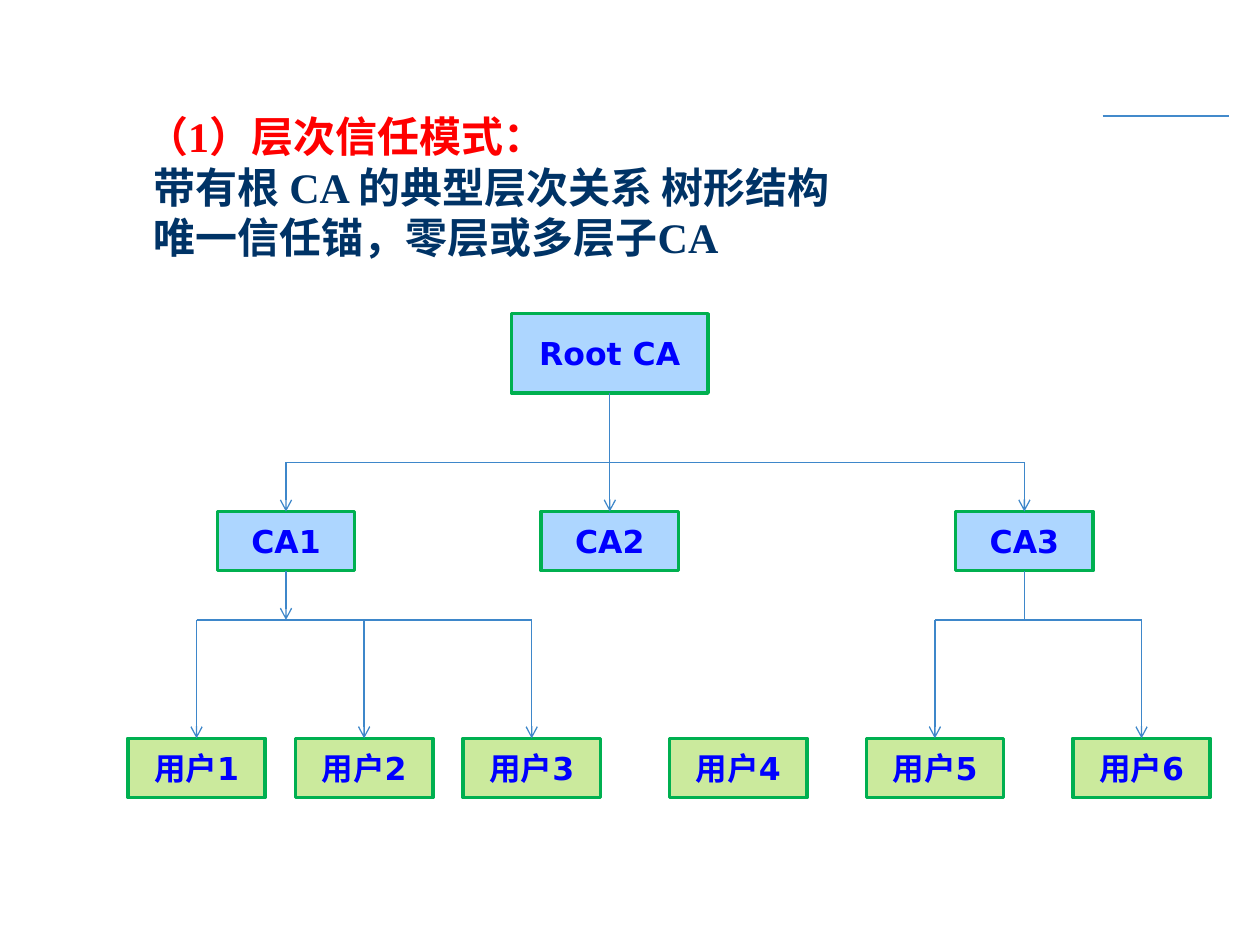
import pptx
import pptx.dml.color
import pptx.enum.shapes
import pptx.enum.text
import pptx.oxml.ns
import pptx.util
from lxml import etree
from pptx.dml.color import RGBColor
from pptx.util import Inches

RED = RGBColor(0xFF, 0x00, 0x00)
NAVY = RGBColor(0x00, 0x33, 0x66)
BLUE = RGBColor(0x00, 0x00, 0xFF)
GREEN = RGBColor(0x00, 0xB0, 0x50)
CA_FILL = RGBColor(0xAD, 0xD6, 0xFF)
USER_FILL = RGBColor(0xCB, 0xEA, 0x9D)
LINK = RGBColor(0x3E, 0x87, 0xCA)
RULE = RGBColor(0x43, 0x8A, 0xCB)

TOP, BOTTOM = 0, 2
CA_TOP, USER_TOP = 4.06, 5.86
CA_BUS, USER_BUS = 3.67, 4.92
NODE_WIDTH, NODE_HEIGHT = 1.09, 0.47


class TrustDiagram:
    """Draw the heading, nodes and links of a trust hierarchy on one slide."""

    def __init__(self, slide):
        self.slide = slide
        self.heading_font = "Times New Roman"
        self.node_font = "DejaVu Sans"

    def heading(self, left, top, width, height, lines):
        title = self.slide.shapes.title
        title.left, title.top = Inches(left), Inches(top)
        title.width, title.height = Inches(width), Inches(height)
        frame = title.text_frame
        frame.word_wrap = True
        frame.auto_size = pptx.enum.text.MSO_AUTO_SIZE.NONE
        frame.vertical_anchor = pptx.enum.text.MSO_ANCHOR.TOP
        frame.text = "\n".join(text for text, color, indent in lines)
        for paragraph, (text, color, indent) in zip(frame.paragraphs, lines):
            properties = paragraph._p.get_or_add_pPr()
            properties.set("marL", str(Inches(indent)))
            properties.set("indent", "0")
            paragraph.alignment = pptx.enum.text.PP_ALIGN.LEFT
            self.format_font(paragraph.font, self.heading_font, 24, color)

    def format_font(self, font, name, size, color):
        font.name = name
        font.size = pptx.util.Pt(size)
        font.bold = True
        font.color.rgb = color

    def node(self, text, center, top, fill, width=NODE_WIDTH, height=NODE_HEIGHT):
        box = self.slide.shapes.add_shape(
            pptx.enum.shapes.MSO_SHAPE.RECTANGLE,
            Inches(center - width / 2), Inches(top), Inches(width), Inches(height))
        box.shadow.inherit = False
        box.fill.solid()
        box.fill.fore_color.rgb = fill
        box.line.color.rgb = GREEN
        box.line.width = pptx.util.Pt(2)
        frame = box.text_frame
        frame.vertical_anchor = pptx.enum.text.MSO_ANCHOR.MIDDLE
        frame.text = text
        label = frame.paragraphs[0]
        label.alignment = pptx.enum.text.PP_ALIGN.CENTER
        self.format_font(label.font, self.node_font, 18, BLUE)
        return box

    def link(self, start, end, source=None, target=None, arrow=False, color=LINK):
        connector = self.slide.shapes.add_connector(
            pptx.enum.shapes.MSO_CONNECTOR.STRAIGHT,
            Inches(start[0]), Inches(start[1]), Inches(end[0]), Inches(end[1]))
        connector.line.color.rgb = color
        connector.line.width = pptx.util.Pt(0.75)
        etree.SubElement(connector._element.spPr, pptx.oxml.ns.qn("a:effectLst"))
        if source is not None:
            connector.begin_connect(source, BOTTOM)
        if target is not None:
            connector.end_connect(target, TOP)
        if arrow:
            etree.SubElement(connector.line._get_or_add_ln(),
                             pptx.oxml.ns.qn("a:tailEnd"), type="arrow")

    def branch(self, centers, bus, top, children):
        self.link((centers[0], bus), (centers[-1], bus))
        for center, child in zip(centers, children):
            self.link((center, bus), (center, top), target=child, arrow=True)


def main():
    presentation = pptx.Presentation()
    presentation.slide_width, presentation.slide_height = Inches(10), Inches(7.5)
    slide = presentation.slides.add_slide(presentation.slide_layouts[5])
    diagram = TrustDiagram(slide)

    diagram.link((8.75, 0.92), (9.75, 0.92), color=RULE)
    diagram.heading(0.52, 0.83, 8.83, 1.37, [
        ("（1）层次信任模式：", RED, 0.54),
        ("带有根 CA 的典型层次关系 树形结构", NAVY, 0.6),
        ("唯一信任锚，零层或多层子CA", NAVY, 0.6),
    ])

    ca_centers = [2.27, 4.84, 8.13]
    user_centers = [1.56, 2.89, 4.22, 5.86, 7.42, 9.06]
    root = diagram.node("Root CA", ca_centers[1], 2.49, CA_FILL, 1.56, 0.63)
    authorities = [diagram.node(f"CA{number}", center, CA_TOP, CA_FILL)
                   for number, center in enumerate(ca_centers, 1)]
    users = [diagram.node(f"用户{number}", center, USER_TOP, USER_FILL)
             for number, center in enumerate(user_centers, 1)]

    diagram.link((ca_centers[1], 3.12), (ca_centers[1], CA_TOP),
                 root, authorities[1], arrow=True)
    diagram.branch(ca_centers[::2], CA_BUS, CA_TOP, authorities[::2])
    for index, members, arrow in [(0, slice(0, 3), True), (2, slice(4, 6), False)]:
        center = ca_centers[index]
        diagram.link((center, CA_TOP + NODE_HEIGHT), (center, USER_BUS),
                     authorities[index], arrow=arrow)
        diagram.branch(user_centers[members], USER_BUS, USER_TOP, users[members])

    presentation.save("out.pptx")


if __name__ == "__main__":
    main()
